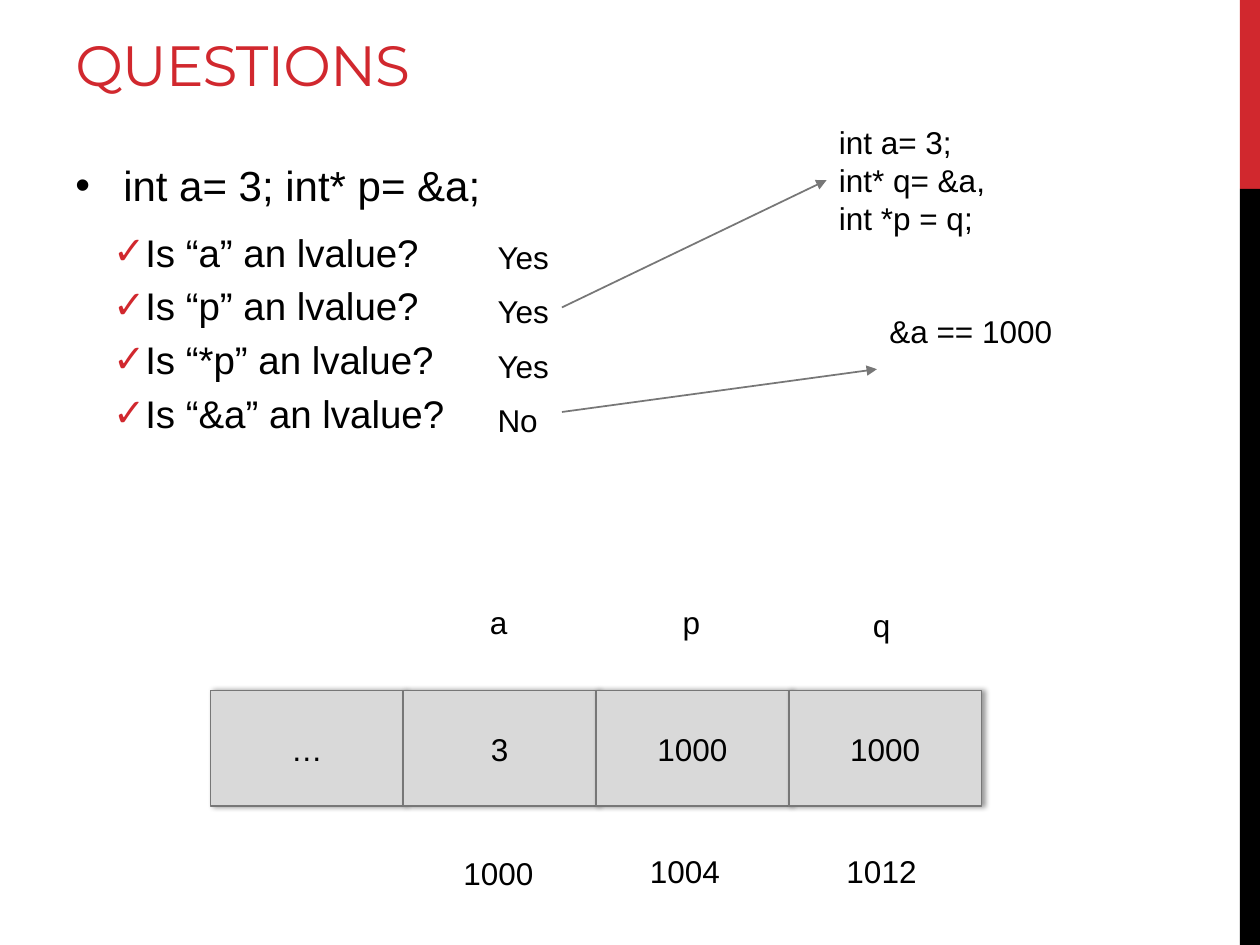
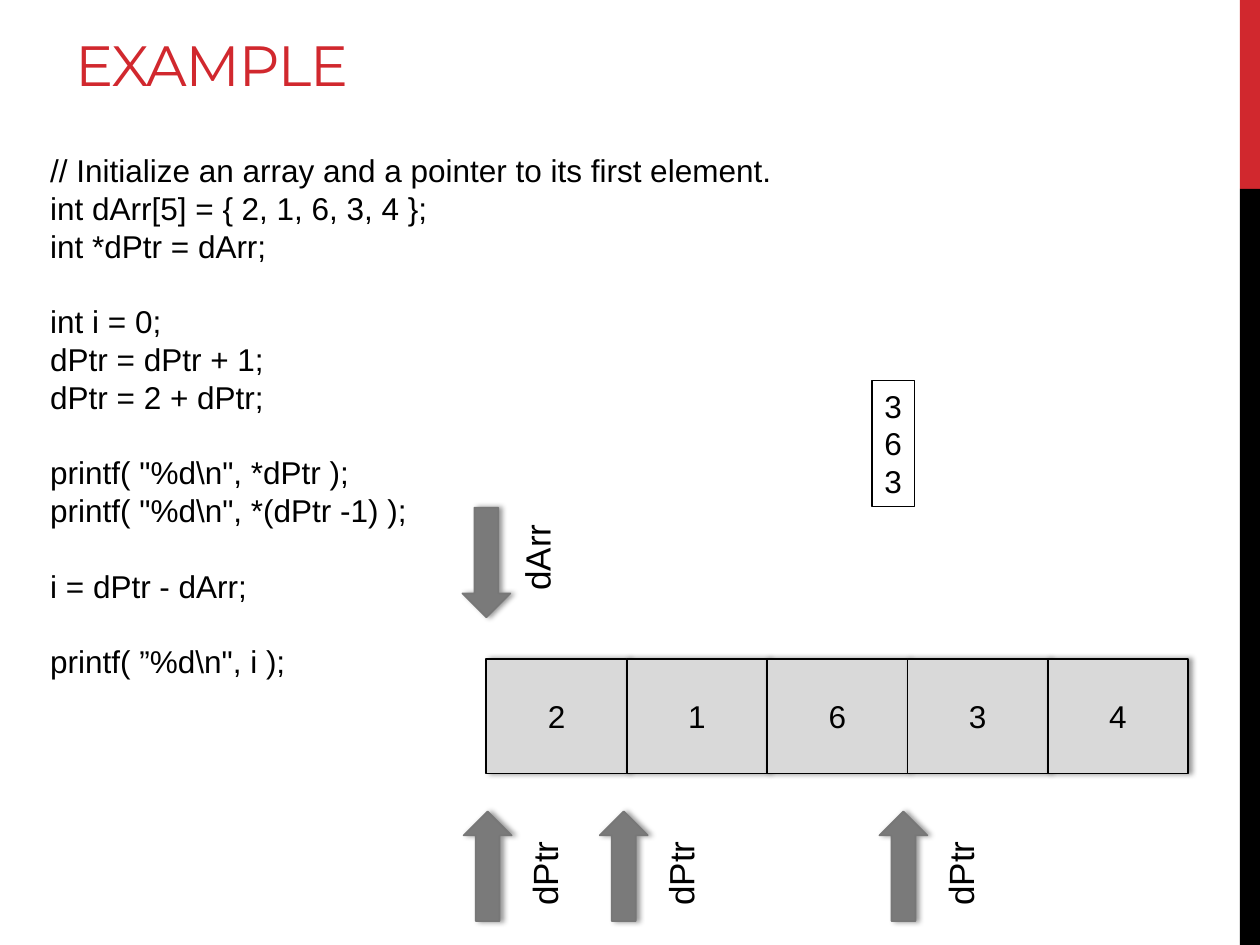
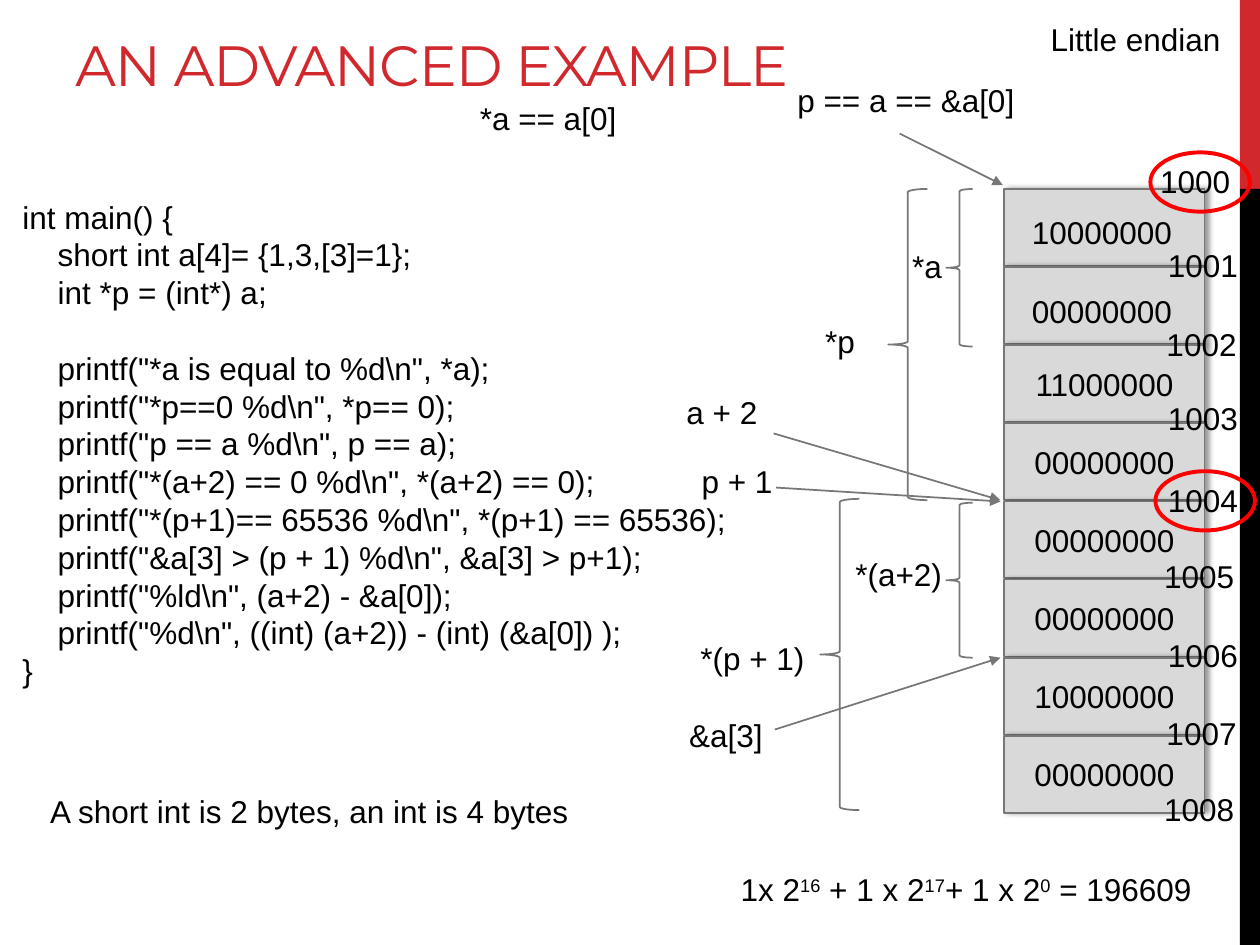
from lxml.etree import SubElement
from pptx import Presentation
from pptx.dml.color import RGBColor
from pptx.enum.shapes import MSO_CONNECTOR, MSO_SHAPE
from pptx.enum.text import MSO_ANCHOR, MSO_AUTO_SIZE, PP_ALIGN
from pptx.oxml.ns import qn
from pptx.util import Inches, Pt

HUES = {
    "red": "D1282E",
    "black": "000000",
    "cell": "D9D9D9",
    "edge": "777777",
    "arrow": "7A7A7A",
    "ring": "FF0000",
}

SETUP = r"""
// Initialize an array and a pointer to its first element.
int dArr[5] = { 2, 1, 6, 3, 4 };
int *dPtr = dArr;

int i = 0;
dPtr = dPtr + 1;
dPtr = 2 + dPtr;

printf( "%d\n", *dPtr );
printf( "%d\n", *(dPtr -1) );

i = dPtr - dArr;

printf( ”%d\n", i );
"""

MAIN = r"""
int main() {
    short int a[4]= {1,3,[3]=1};
    int *p = (int*) a;

    printf("*a is equal to %d\n", *a);
    printf("*p==0 %d\n", *p== 0);
    printf("p == a %d\n", p == a);
    printf("*(a+2) == 0 %d\n", *(a+2) == 0);
    printf("*(p+1)== 65536 %d\n", *(p+1) == 65536);
    printf("&a[3] > (p + 1) %d\n", &a[3] > p+1);
    printf("%ld\n", (a+2) - &a[0]);
    printf("%d\n", ((int) (a+2)) - (int) (&a[0]) );
}
"""


def hue(name):
    return RGBColor.from_string(HUES[name])


def box(at):
    return [Inches(n) for n in at]


class Deck:
    font = "Arial"
    head = "Montserrat"
    size = 18
    line = 0.3

    def __init__(self):
        self.file = Presentation()
        self.file.slide_width = Inches(10)
        self.file.slide_height = Inches(7.5)

    def start(self, title):
        self.slide = self.file.slides.add_slide(self.file.slide_layouts[6])
        self.shape("RECTANGLE", (9.84, 0, 0.16, 1.5), "red")
        self.shape("RECTANGLE", (9.84, 1.5, 0.16, 6), "black")
        frame = self.frame((0.5, 0.17, 9.02, 0.66), True)
        frame.auto_size = MSO_AUTO_SIZE.NONE
        frame.vertical_anchor = MSO_ANCHOR.BOTTOM
        run = self.run(frame.paragraphs[0], title, 32.4, "red", self.head)
        run.font._element.set("spc", "-60")

    def run(self, para, text, size=None, tint="black", font=None):
        run = para.add_run()
        run.text = text
        run.font.size = Pt(size or self.size)
        run.font.name = font or self.font
        run.font.color.rgb = hue(tint)
        return run

    def frame(self, at, wrap=False):
        frame = self.slide.shapes.add_textbox(*box(at)).text_frame
        frame.word_wrap = wrap
        frame.auto_size = MSO_AUTO_SIZE.SHAPE_TO_FIT_TEXT
        return frame

    def para(self, frame, first):
        return frame.paragraphs[0] if first else frame.add_paragraph()

    def note(self, x, y, wide, *lines, size=None, gap=0, turn=0, edge=None):
        size = size or self.size
        high = 0.1 + len(lines) * size / 60 + (len(lines) - 1) * gap / 72
        frame = self.frame((x, y, wide, high))
        for i, text in enumerate(lines):
            para = self.para(frame, i == 0)
            if i and gap:
                para.space_before = Pt(gap)
            self.run(para, text, size)
        shape = self.slide.shapes[-1]
        shape.rotation = turn
        if edge:
            shape.line.color.rgb = hue(edge)
            shape.line.width = Pt(0.75)
        return shape

    def code(self, at, block):
        frame = self.frame(at, True)
        first, gap = True, 0
        for text in block.strip().splitlines():
            if not text:
                gap += self.line
                continue
            para = self.para(frame, first)
            if gap:
                para.space_before = Inches(gap)
            if text.startswith(" "):
                para._p.get_or_add_pPr().set("marL", str(Inches(0.28)))
            self.run(para, text.strip())
            first, gap = False, 0

    def point(self, frame, text, size, mark, left, hang, tint="black", after=0):
        para = self.para(frame, not frame.text)
        para.space_before = Pt(size / 5)
        para.space_after = Pt(after)
        props = para._p.get_or_add_pPr()
        props.set("marL", str(Inches(left)))
        props.set("indent", str(-Inches(hang)))
        color = SubElement(props, qn("a:buClr"))
        SubElement(color, qn("a:srgbClr"), val=HUES[tint])
        SubElement(props, qn("a:buFont"), typeface=self.font)
        SubElement(props, qn("a:buChar"), char=mark)
        self.run(para, text, size)

    def shape(self, kind, at, fill=None, edge=None, width=1, shade=False):
        shape = self.slide.shapes.add_shape(MSO_SHAPE[kind], *box(at))
        shape.shadow.inherit = False
        if fill:
            shape.fill.solid()
            shape.fill.fore_color.rgb = hue(fill)
        else:
            shape.fill.background()
        if edge:
            shape.line.color.rgb = hue(edge)
            shape.line.width = Pt(width)
        else:
            shape.line.fill.background()
        if shade:
            glow = SubElement(
                shape._element.spPr.find(qn("a:effectLst")), qn("a:outerShdw"),
                blurRad=str(Pt(3.1)), dist=str(Pt(1.8)), dir="0", rotWithShape="0")
            color = SubElement(glow, qn("a:srgbClr"), val=HUES["black"])
            SubElement(color, qn("a:alpha"), val="40000")
        return shape

    def cell(self, at, text="", edge="edge"):
        frame = self.shape("RECTANGLE", at, "cell", edge, shade=True).text_frame
        frame.vertical_anchor = MSO_ANCHOR.MIDDLE
        para = frame.paragraphs[0]
        para.alignment = PP_ALIGN.CENTER
        if text:
            self.run(para, text)

    def row(self, x, y, wide, high, words, edge="edge"):
        for i, text in enumerate(words):
            self.cell((x + i * wide, y, wide, high), text, edge)

    def arrow(self, start, end, goal=None):
        link = self.slide.shapes.add_connector(
            MSO_CONNECTOR.STRAIGHT, *box(start + end))
        link.line.color.rgb = hue("edge")
        link.line.width = Pt(1)
        SubElement(link.line._get_or_add_ln(), qn("a:tailEnd"), type="triangle")
        SubElement(link._element.spPr, qn("a:effectLst"))
        if goal:
            link.end_connect(goal, 1)

    def block(self, x, y, turn, name, left, top):
        self.shape("DOWN_ARROW", (x, y, 0.38, 0.87), "arrow", "edge",
                   shade=True).rotation = turn
        self.note(left, top, 0.8, name, size=20, turn=270)

    def brace(self, at, name, x, y, wide):
        self.shape("LEFT_BRACE", at, None, "edge")
        self.note(x, y, wide, name)


def ask(deck):
    deck.start("QUESTIONS")
    frame = deck.frame((0.5, 1.22, 9.02, 5.79), True)
    frame.auto_size = MSO_AUTO_SIZE.NONE
    deck.point(frame, "int a= 3; int* p= &a;", 24, "•", 0.38, 0.38, after=6)
    for name in ("a", "p", "*p", "&a"):
        deck.point(frame, f"Is “{name}” an lvalue?", 22, "✓", 0.5, 0.2, "red")
    deck.note(3.85, 1.84, 0.61, "Yes", "Yes", "Yes", "No", gap=9.5)
    deck.row(1.67, 5.48, 1.53, 0.92, ("…", "3", "1000", "1000"))
    for x, y, name in ((3.79, 4.74, "a"), (5.32, 4.74, "p"), (6.83, 4.76, "q")):
        deck.note(x, y, 0.34, name)
    for x, y, name in ((3.58, 6.73, "1000"), (5.06, 6.71, "1004"), (6.62, 6.71, "1012")):
        deck.note(x, y, 0.76, name)
    goal = deck.note(6.56, 0.93, 1.44, "int a= 3;", "int* q= &a,", "int *p = q;")
    deck.arrow((4.46, 2.44), (6.56, 1.44), goal)
    deck.note(6.96, 2.43, 1.51, "&a == 1000")
    deck.arrow((4.46, 3.27), (6.96, 2.93))


def show(deck):
    deck.start("EXAMPLE")
    deck.code((0.3, 1.15, 9.21, 4.34), SETUP)
    deck.row(3.86, 5.23, 5.57 / 5, 0.91, "21634", "black")
    deck.block(3.67, 4.03, 0, "dArr", 3.86, 4.17)
    for x in (3.68, 4.76, 6.98):
        deck.block(x, 6.44, 180, "dPtr", x + 0.24, 6.67)
    deck.note(6.92, 3.02, 0.34, "3", "6", "3", edge="black")


def study(deck):
    deck.start("AN ADVANCED EXAMPLE")
    deck.code((0.08, 1.52, 6.36, 4.04), MAIN)
    bytes_ = ("", "", "11000000", "00000000", "00000000",
              "00000000", "10000000", "00000000")
    for i, text in enumerate(bytes_):
        deck.cell((7.97, 1.5 + 0.62 * i, 1.59, 0.61), text)
    deck.note(8.09, 1.64, 1.32, "10000000")
    deck.note(8.09, 2.27, 1.32, "00000000")
    deck.note(8.24, 0.11, 1.56, "Little endian")
    deck.note(0.3, 6.24, 4.35, "A short int is 2 bytes, an int is 4 bytes")
    deck.brace((7.05, 1.5, 0.31, 2.47), "*p", 6.45, 2.51, 0.44)
    deck.brace((7.51, 1.5, 0.21, 1.25), "*a", 7.14, 1.91, 0.44)
    deck.brace((7.51, 3.99, 0.21, 1.23), "*(a+2)", 6.69, 4.36, 0.9)
    deck.brace((6.51, 3.96, 0.31, 2.47), "*(p + 1)", 5.46, 5.02, 1.04)

    para = deck.frame((5.78, 6.86, 3.87, 0.4)).paragraphs[0]
    for base, power in (("1x 2", "16"), (" + 1 x 2", "17"), ("+ 1 x 2", "0")):
        deck.run(para, base)
        deck.run(para, power).font._element.set("baseline", "30000")
    deck.run(para, " = 196609")

    for x, y, wide, name, start, end in (
        (6.23, 0.59, 1.94, "p == a == &a[0]", (7.14, 1.06), (7.96, 1.47)),
        (5.35, 3.07, 0.77, "a + 2", (6.14, 3.44), (7.94, 3.97)),
        (5.47, 3.62, 0.77, "p + 1", (6.16, 3.87), (7.94, 3.98)),
        (5.37, 5.63, 0.79, "&a[3]", (6.15, 5.79), (7.94, 5.22)),
    ):
        deck.note(x, y, wide, name)
        deck.arrow(start, end)
    deck.note(3.71, 0.74, 1.3, "*a == a[0]")

    spots = ((9.11, 1.24), (9.17, 1.9), (9.16, 2.53), (9.17, 3.12), (9.17, 3.77),
             (9.14, 4.37), (9.17, 5), (9.16, 5.62), (9.14, 6.22))
    for i, (x, y) in enumerate(spots):
        deck.note(x, y, 0.76, str(1000 + i))
    for x, y in ((9.13, 1.21), (9.17, 3.74)):
        deck.shape("OVAL", (x, y, 0.79, 0.47), None, "ring", 2.25)


def main():
    deck = Deck()
    ask(deck)
    show(deck)
    study(deck)
    deck.file.save("out.pptx")


if __name__ == "__main__":
    main()
